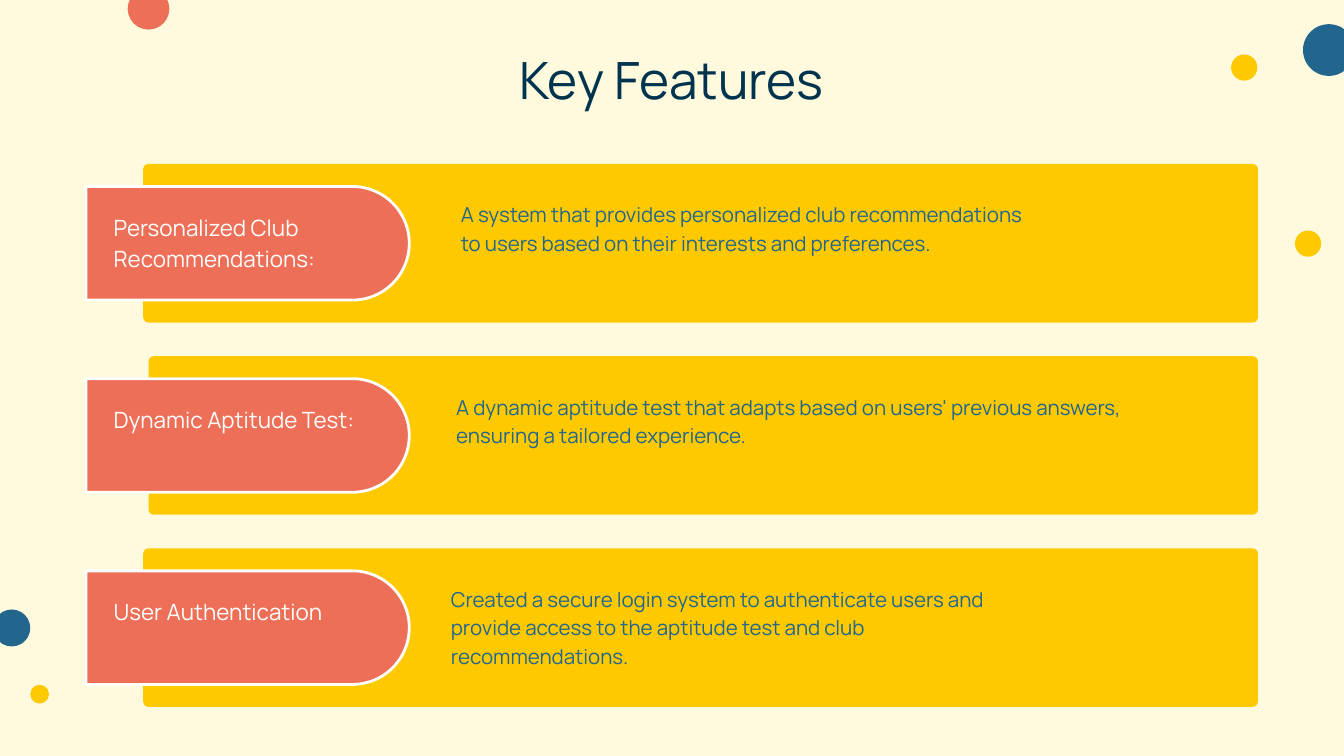
from dataclasses import dataclass

from pptx import Presentation
from pptx import util as u
from pptx.dml.color import RGBColor
from pptx.enum import shapes, text

TITLE = "Key Features"

FEATURES = [
    dict(label="Personalized Club Recommendations:",
         detail="A system that provides personalized club recommendations "
                "to users based on their interests and preferences.",
         panel_x=213, detail_x=660, detail_w=864),
    dict(label="Dynamic Aptitude Test:",
         detail="A dynamic aptitude test that adapts based on users' previous answers, "
                "ensuring a tailored experience.",
         panel_x=221, detail_x=653, detail_w=1120),
    dict(label="User Authentication",
         detail="Created a secure login system to authenticate users and "
                "provide access to the aptitude test and club recommendations.",
         panel_x=213, detail_x=645, detail_w=864),
]

DOTS = [
    (190, -18, 62, "coral"),
    (-10, 907, 55, "blue"),
    (1939, 36, 77, "blue"),
    (1832, 81, 39, "yellow"),
    (1927, 343, 39, "yellow"),
    (45, 1019, 28, "yellow"),
]


@dataclass(frozen=True)
class Theme:
    font: str = "Manrope"
    cream: str = "FFFADD"
    navy: str = "00334E"
    blue: str = "22668D"
    yellow: str = "FFC900"
    coral: str = "EE6F57"
    white: str = "FFFFFF"
    title_size: int = 55
    label_size: int = 24
    detail_size: int = 22
    leading: float = 1.4


THEME = Theme()
PX = 9144
SLIDE_W, SLIDE_H = 2000, 1125
PANEL_TOP, PANEL_H, PANEL_RIGHT, PITCH = 244, 236, 1872, 286
PANEL_RADIUS = 8
TAB_X, TAB_W, TAB_H = 128, 481, 169
LABEL_X, LABEL_W, LABEL_H, LABEL_DROP = 169, 378, 93, 68
DETAIL_H, DETAIL_DROP, DETAIL_INDENT = 128, 51, 26


def px(*values):
    return [u.Emu(round(v * PX)) for v in values]


def rgb(name):
    return RGBColor.from_string(getattr(THEME, name))


def write(sp, content, size, color, align=text.PP_ALIGN.LEFT, indent=0):
    tf = sp.text_frame
    tf.word_wrap = True
    tf.auto_size = text.MSO_AUTO_SIZE.NONE
    tf.vertical_anchor = text.MSO_ANCHOR.TOP
    tf.margin_left = tf.margin_top = tf.margin_right = tf.margin_bottom = 0
    p = tf.paragraphs[0]
    p.alignment = align
    p.line_spacing = u.Pt(size * THEME.leading)
    if indent:
        p._p.get_or_add_pPr().set("marL", str(indent * PX))
    r = p.add_run()
    r.text = content
    r.font.name = THEME.font
    r.font.size = u.Pt(size)
    r.font.color.rgb = rgb(color)


def draw(s, kind, box, fill, line=None):
    sp = s.shapes.add_shape(kind, *px(*box))
    sp.shadow.inherit = False
    sp.fill.solid()
    sp.fill.fore_color.rgb = rgb(fill)
    if line:
        sp.line.color.rgb = rgb(line)
        sp.line.width = u.Pt(3)
    else:
        sp.line.fill.background()
    return sp


def add_feature(s, row, feature):
    top = PANEL_TOP + row * PITCH
    left = feature["panel_x"]
    panel = draw(s, shapes.MSO_SHAPE.ROUNDED_RECTANGLE,
                 (left, top, PANEL_RIGHT - left, PANEL_H), "yellow")
    panel.adjustments[0] = PANEL_RADIUS / PANEL_H

    center_x, center_y = TAB_X + TAB_W / 2, top + PANEL_H / 2
    tab = draw(s, shapes.MSO_SHAPE.ROUND_2_SAME_RECTANGLE,
               (center_x - TAB_H / 2, center_y - TAB_W / 2, TAB_H, TAB_W),
               "coral", line="white")
    tab.adjustments[0] = 0.5
    tab.rotation = 90

    detail = s.shapes.add_textbox(
        *px(feature["detail_x"], top + DETAIL_DROP, feature["detail_w"], DETAIL_H))
    write(detail, feature["detail"], THEME.detail_size, "blue", indent=DETAIL_INDENT)
    label = s.shapes.add_textbox(*px(LABEL_X, top + LABEL_DROP, LABEL_W, LABEL_H))
    write(label, feature["label"], THEME.label_size, "white")


def main():
    prs = Presentation()
    prs.slide_width, prs.slide_height = px(SLIDE_W, SLIDE_H)
    s = prs.slides.add_slide(prs.slide_layouts[5])
    s.background.fill.solid()
    s.background.fill.fore_color.rgb = rgb("cream")

    title = s.shapes.title
    title.left, title.top, title.width, title.height = px(455, 57, 1089, 107)
    write(title, TITLE, THEME.title_size, "navy", align=text.PP_ALIGN.CENTER)

    for row, feature in enumerate(FEATURES):
        add_feature(s, row, feature)
    for x, y, size, color in DOTS:
        draw(s, shapes.MSO_SHAPE.OVAL, (x, y, size, size), color)

    prs.save("out.pptx")


if __name__ == "__main__":
    main()
